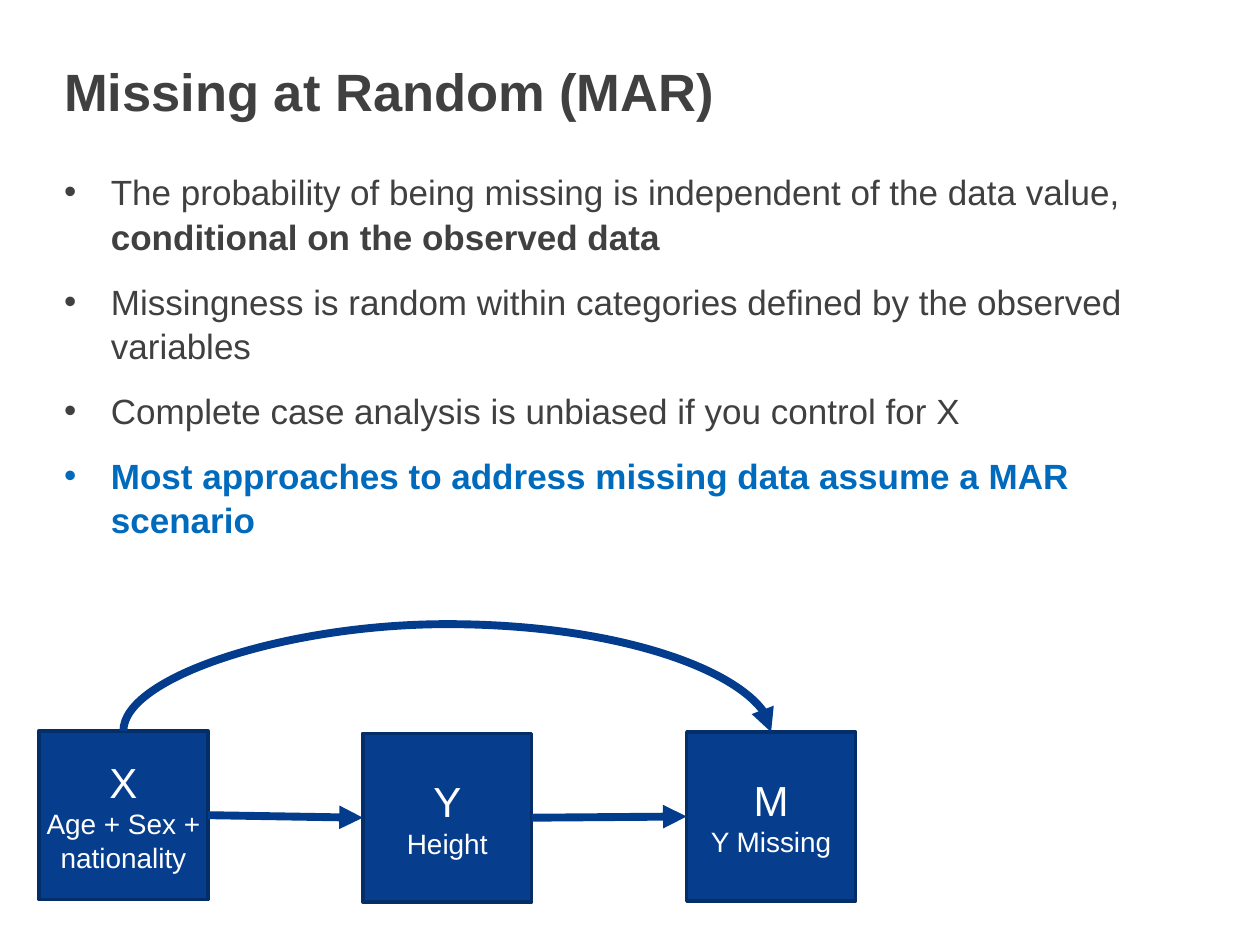
from lxml.etree import SubElement
from pptx import Presentation
from pptx.dml.color import RGBColor
from pptx.enum.shapes import MSO_CONNECTOR as Connector, MSO_SHAPE as Shape
from pptx.enum.text import MSO_ANCHOR as Anchor, MSO_AUTO_SIZE as AutoSize, PP_ALIGN as Align
from pptx.oxml.ns import qn
from pptx.util import Inches, Pt

GREY, BLUE, WHITE = "404040", "006ABD", "FFFFFF"
BOX_FILL, BOX_LINE, ARROW = "063E8D", "042E68", "033C8D"
TOP, LEFT, RIGHT = 0, 1, 3
MARGIN, TEXT_WIDTH = 0.51, 8.98
BOX_LEFT, BOX_STEP, BOX_SIZE = 0.31, 2.57, 1.34
ARCH_HEIGHT, ARCH_RISE = 0.86, 0.01

BULLETS = [
    [("The probability of being missing is independent of the data value, ", GREY, False),
     ("conditional on the observed data", GREY, True)],
    [("Missingness is random within categories defined by the observed variables", GREY, False)],
    [("Complete case analysis is unbiased if you control for X", GREY, False)],
    [("Most approaches to address missing data assume a MAR scenario", BLUE, True)],
]
BOXES = [("X", "Age + Sex + nationality", 5.8), ("Y", "Height", 5.82), ("M", "Y Missing", 5.81)]


def color(value):
    return RGBColor.from_string(value)


def format_font(font, size, value, bold=False):
    font.name, font.size, font.bold = "Arial", Pt(size), bold
    font.color.rgb = color(value)


def prepare_frame(shape, anchor):
    frame = shape.text_frame
    frame.margin_left = frame.margin_right = frame.margin_top = frame.margin_bottom = 0
    frame.word_wrap, frame.vertical_anchor = True, anchor
    frame.auto_size = AutoSize.NONE
    return frame


def place(shape, left, top, width, height):
    shape.left, shape.top = Inches(left), Inches(top)
    shape.width, shape.height = Inches(width), Inches(height)


def fill_title(title, text):
    place(title, MARGIN, 0.47, TEXT_WIDTH, 0.5)
    para = prepare_frame(title, Anchor.TOP).paragraphs[0]
    para.text, para.alignment = text, Align.LEFT
    format_font(para.runs[0].font, 30, GREY, True)


def fill_list(body, items):
    place(body, MARGIN, 1.34, TEXT_WIDTH, 3.59)
    frame = prepare_frame(body, Anchor.TOP)
    for index, spans in enumerate(items):
        para = frame.paragraphs[0] if index == 0 else frame.add_paragraph()
        para.space_before = Pt(12 if index else 0)
        para.line_spacing = 1.05
        properties = para._p.get_or_add_pPr()
        properties.set("marL", str(Inches(0.37)))
        properties.set("indent", str(-Inches(0.37)))
        SubElement(properties, qn("a:buFont"), typeface="Arial")
        SubElement(properties, qn("a:buChar"), char="•")
        for text, value, bold in spans:
            span = para.add_run()
            span.text = text
            format_font(span.font, 20, value, bold)


def add_box(page, column, name, detail, top):
    box = page.shapes.add_shape(Shape.RECTANGLE, 0, 0, 0, 0)
    place(box, BOX_LEFT + column * BOX_STEP, top, BOX_SIZE, BOX_SIZE)
    box.shadow.inherit = False
    box.fill.solid()
    box.fill.fore_color.rgb = color(BOX_FILL)
    box.line.color.rgb, box.line.width = color(BOX_LINE), Pt(2)
    para = prepare_frame(box, Anchor.MIDDLE).paragraphs[0]
    para.text, para.alignment = f"{name}\v{detail}", Align.CENTER
    for span, size in zip(para.runs, (24, 16)):
        format_font(span.font, size, WHITE)
    return box


def add_arrow(page, kind, start, start_site, end, end_site):
    arrow = page.shapes.add_connector(kind, 0, 0, 0, 0)
    arrow.begin_connect(start, start_site)
    arrow.end_connect(end, end_site)
    arrow.line.color.rgb, arrow.line.width = color(ARROW), Pt(4.5)
    SubElement(arrow.line._get_or_add_ln(), qn("a:tailEnd"), type="triangle")
    SubElement(arrow._element.spPr, qn("a:effectLst"))
    return arrow


def add_arch(page, start, end):
    arch = add_arrow(page, Connector.CURVE, start, TOP, end, TOP)
    span = 2 * BOX_STEP
    center = BOX_LEFT + BOX_SIZE / 2 + BOX_STEP
    place(arch, center - ARCH_RISE / 2, 5.8 + ARCH_RISE / 2 - span / 2, ARCH_RISE, span)
    properties = arch._element.spPr
    frame = properties.find(qn("a:xfrm"))
    frame.set("rot", str(270 * 60000))
    frame.set("flipH", "1")
    guides = properties.find(qn("a:prstGeom")).get_or_add_avLst()
    bend = round(-ARCH_HEIGHT / ARCH_RISE * 100000)
    SubElement(guides, qn("a:gd"), name="adj1", fmla=f"val {bend}")


def main():
    deck = Presentation()
    deck.slide_width, deck.slide_height = Inches(10), Inches(7.5)
    page = deck.slides.add_slide(deck.slide_layouts[1])
    fill_title(page.shapes.title, "Missing at Random (MAR)")
    fill_list(page.placeholders[1], BULLETS)
    boxes = [add_box(page, column, *content) for column, content in enumerate(BOXES)]
    for start, end in zip(boxes, boxes[1:]):
        add_arrow(page, Connector.STRAIGHT, start, RIGHT, end, LEFT)
    add_arch(page, boxes[0], boxes[-1])
    deck.save("out.pptx")


if __name__ == "__main__":
    main()
